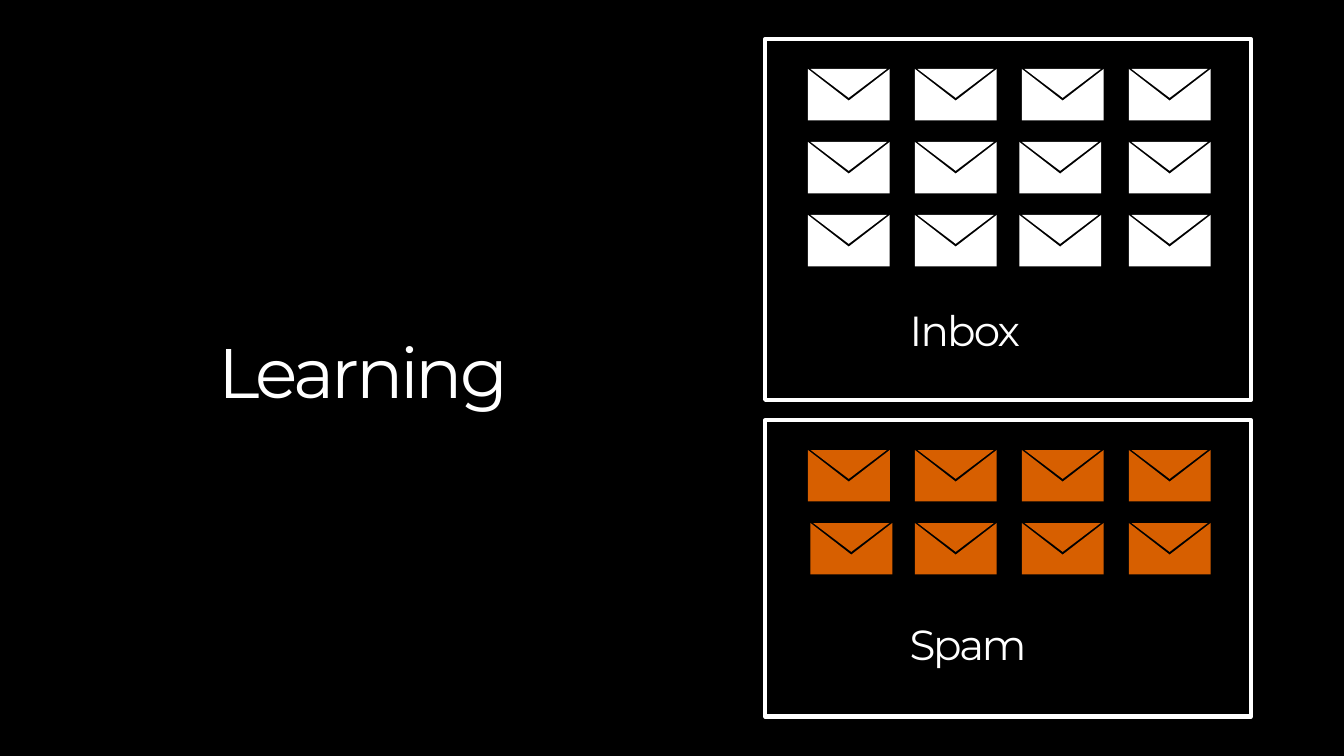
from itertools import product

from pptx import Presentation
from pptx.dml.color import RGBColor
from pptx.enum.shapes import MSO_SHAPE
from pptx.enum.text import MSO_ANCHOR, MSO_AUTO_SIZE, PP_ALIGN
from pptx.util import Pt

WHITE = "FFFFFF"
BLACK = "000000"
ORANGE = "D75F00"
WIDTH, HEIGHT = 1583.28, 890.64
COLUMN_STEP = 126
ROW_STEP = 86
FLAP = [(3.2, 0), (92.9, 0), (48.1, 34)]
BODY = [(0, 0), (48.1, 37.3), (96.4, 0), (96.4, 60.6), (0, 60.6)]
WHOLE = [FLAP, BODY]
SEAMED = [
    FLAP,
    [(0, 0), (48.1, 37.3), (96.4, 37.3), (96.4, 60.6), (0, 60.6)],
    [(96.4, 0), (48.1, 37.3), (96.4, 37.3)],
]


def color(value):
    return RGBColor.from_string(value)


def place(item, left, top, width, height):
    item.left, item.top = Pt(left), Pt(top)
    item.width, item.height = Pt(width), Pt(height)


def write(box, text, size, spacing):
    frame = box.text_frame
    frame.word_wrap = True
    frame.auto_size = MSO_AUTO_SIZE.NONE
    frame.vertical_anchor = MSO_ANCHOR.TOP
    frame.margin_left = frame.margin_top = Pt(1)
    frame.margin_right = frame.margin_bottom = 0
    para = frame.paragraphs[0]
    para.alignment = PP_ALIGN.LEFT
    para.space_before = Pt(0)
    span = para.add_run()
    span.text = text
    span.font.name = "Montserrat"
    span.font.size = Pt(size)
    span.font.color.rgb = color(WHITE)
    span.font._element.set("spc", str(round(spacing * 100)))


def add_backdrop(page, left, top, width, height):
    backdrop = page.shapes.add_shape(
        MSO_SHAPE.RECTANGLE, Pt(left), Pt(top), Pt(width), Pt(height))
    backdrop.shadow.inherit = False
    backdrop.fill.solid()
    backdrop.fill.fore_color.rgb = color(BLACK)
    backdrop.line.fill.background()
    page.shapes.title.element.addprevious(backdrop.element)


def add_title(page, left, top, width, height):
    title = page.shapes.title
    place(title, left, top, width, height)
    write(title, "Learning", 82.5, -3.8)


def add_envelopes(page, left, top, cells, outlines, fill, nudges):
    builder = page.shapes.build_freeform(Pt(0), Pt(0))
    for (row, column), outline in product(cells, outlines):
        across = column * COLUMN_STEP + nudges.get((row, column), 0)
        down = row * ROW_STEP
        points = [(Pt(across + x), Pt(down + y)) for x, y in outline]
        builder.move_to(*points[0])
        builder.add_line_segments(points[1:], close=True)
    envelopes = builder.convert_to_shape(Pt(left), Pt(top))
    envelopes.shadow.inherit = False
    envelopes.fill.solid()
    envelopes.fill.fore_color.rgb = color(fill)
    envelopes.line.fill.background()


def add_folder(page, left, top, width, height, name, spacing, label_top, batches, fill, nudges):
    border = page.shapes.add_shape(
        MSO_SHAPE.RECTANGLE, Pt(left), Pt(top), Pt(width), Pt(height))
    border.shadow.inherit = False
    border.fill.background()
    border.line.color.rgb = color(WHITE)
    border.line.width = Pt(4.95)
    for cells, outlines in batches:
        add_envelopes(page, left + 50.4, top + 35, cells, outlines, fill, nudges)
    label = page.shapes.add_textbox(
        Pt(left + 169.2), Pt(top + label_top), Pt(142.6), Pt(61.2))
    write(label, name, 49.5, spacing)


def main():
    deck = Presentation()
    deck.slide_width, deck.slide_height = Pt(WIDTH), Pt(HEIGHT)
    page = deck.slides.add_slide(deck.slide_layouts[5])
    add_backdrop(page, 0, 0, WIDTH, HEIGHT)
    add_title(page, 256.3, 386, 403.2, 100.8)
    inbox = list(product(range(3), range(4)))
    first, *others = product(range(2), range(4))
    add_folder(page, 901.4, 46.3, 572.4, 424.8, "Inbox", -2.1, 311.6,
               [(inbox, WHOLE)], WHITE, {(1, 2): -3, (2, 2): -3})
    add_folder(page, 901.4, 495.2, 572.4, 348.8, "Spam", -2.6, 232,
               [([first], SEAMED), (others, WHOLE)], ORANGE, {(1, 0): 3})
    deck.save("out.pptx")


if __name__ == "__main__":
    main()
